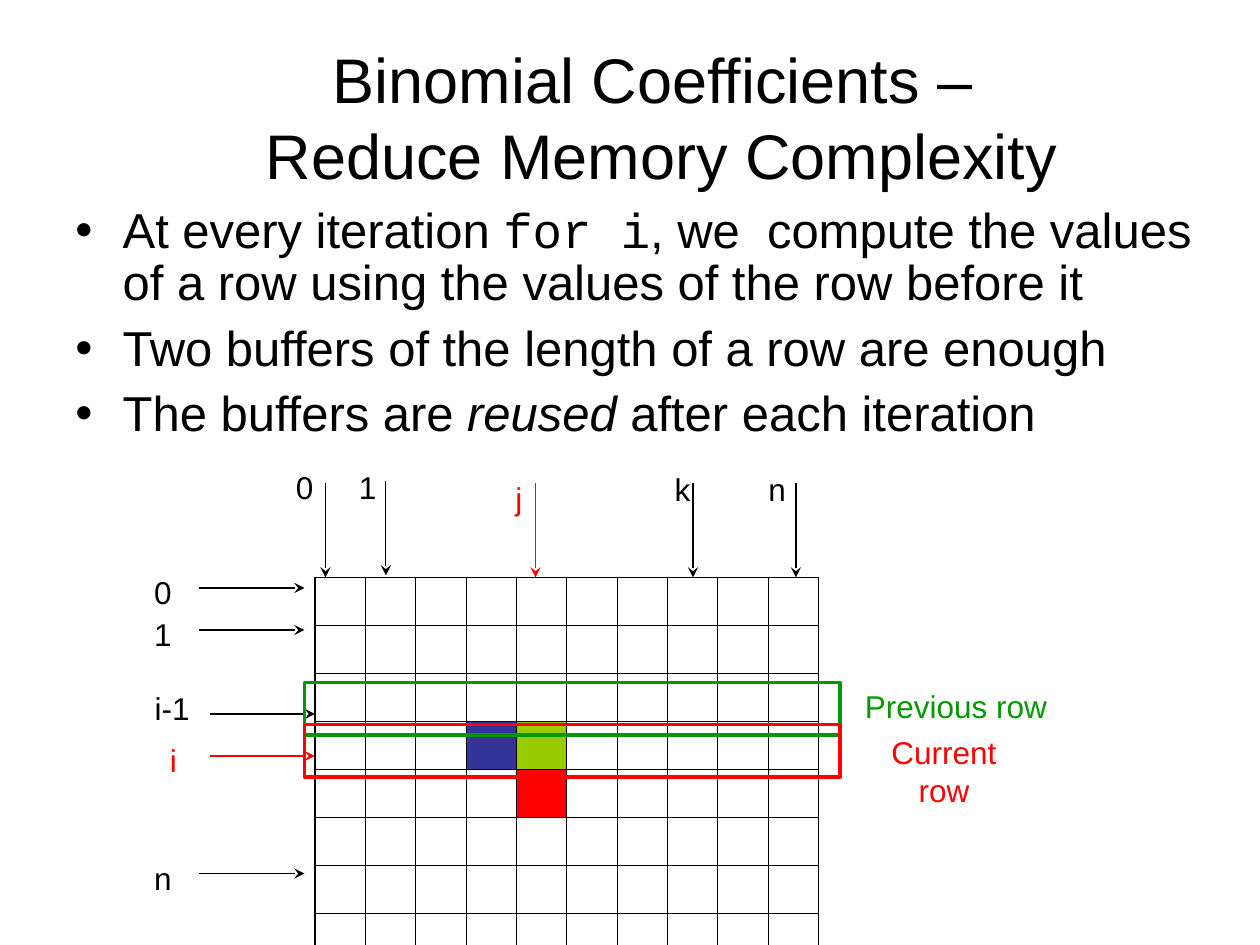
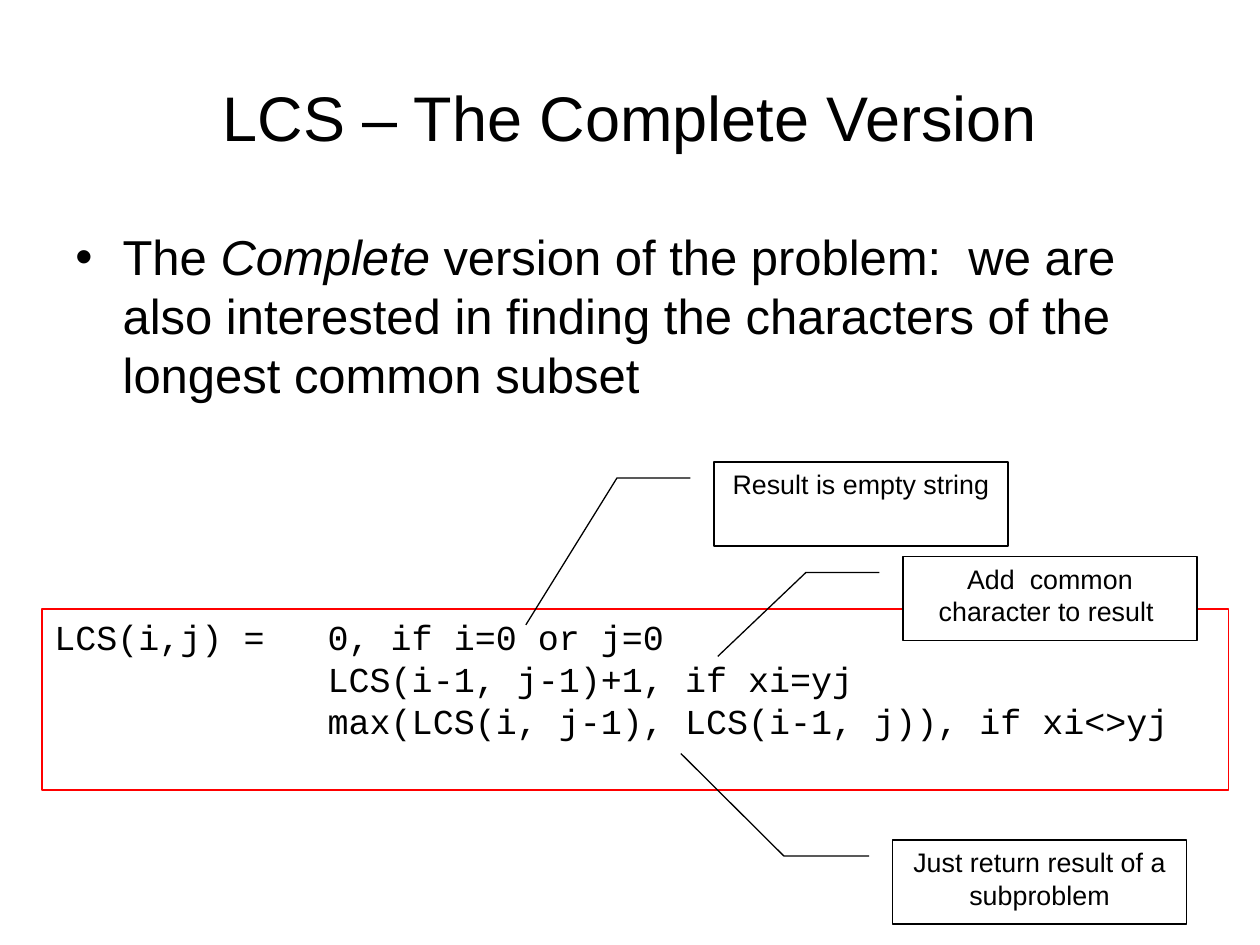
from dataclasses import dataclass
from typing import Any

from lxml import etree
from pptx import Presentation
from pptx.dml.color import RGBColor
from pptx.enum import shapes, text
from pptx.oxml import ns
from pptx.util import Inches, Length, Pt


@dataclass(frozen=True)
class Theme:
    """Colours, fonts and type sizes of the deck."""
    ink: str = "000000"
    paper: str = "FFFFFF"
    red: str = "FF0000"
    green: str = "009900"
    lime: str = "99CC00"
    blue: str = "333399"
    sans: str = "Arial"
    mono: str = "Courier New"
    title: float = 36
    body: float = 28
    code: float = 20
    label: float = 18
    note: float = 15.3
    thin: float = 0.45
    line: float = 0.75
    edge: float = 1.08
    bold: float = 2


@dataclass(frozen=True)
class Box:
    """A place on the grid of 120 columns by 90 rows."""
    x: float
    y: float
    w: float
    h: float

    def place(self) -> tuple[Length, ...]:
        """Return left, top, width and height as lengths."""
        return tuple(unit(v) for v in (self.x, self.y, self.w, self.h))


@dataclass(frozen=True)
class Bit:
    """A stretch of text with its own face."""
    words: str
    slant: bool = False
    mono: bool = False


@dataclass(frozen=True)
class Tag:
    """A short label in one colour."""
    words: str
    x: float
    y: float
    w: float = 4
    hue: str = "000000"


@dataclass(frozen=True)
class Mark:
    """A label with the arrow that starts beside it."""
    tag: Tag
    x: float
    y: float
    down: bool = False


@dataclass(frozen=True)
class Note:
    """A callout with the bend and the end of its leader."""
    words: str
    x: float
    y: float
    bend: float
    end: tuple[float, float]


T = Theme()
COLS, ROWS = 120, 90
TITLE = Box(6, 3.6, 108, 15)

GRID = Box(30, 55, 48, 36.6)
SIZE = (8, 10)
FILLS = {(3, 3): T.blue, (3, 4): T.lime, (4, 4): T.red}
MARKS = [
    Mark(Tag("0", 13.5, 54), 19, 56),
    Mark(Tag("1", 13.5, 58), 19, 60),
    Mark(Tag("i-1", 13.5, 65, 5.8), 20, 68),
    Mark(Tag("i", 15, 70, 3, T.red), 20, 72),
    Mark(Tag("n", 13.5, 81.2), 19, 83.2),
    Mark(Tag("0", 27, 44), 31, 46, True),
    Mark(Tag("1", 33, 44), 36.75, 45.8, True),
    Mark(Tag("j", 47.9, 45, 3, T.red), 51, 46, True),
    Mark(Tag("k", 63, 44.2), 66, 46, True),
    Mark(Tag("n", 72, 44.2), 75.8, 46, True),
]
BANDS = [
    (65, Tag("Previous row", 81.2, 64.8, 19.7, T.green)),
    (69, Tag("Current row", 80.9, 69.2, 18, T.red)),
]
POINTS = [
    [Bit("At every iteration "), Bit("for i", mono=True),
     Bit(", we  compute the values of a row using the values "
         "of the row before it")],
    [Bit("Two buffers of the length of a row are enough")],
    [Bit("The buffers are "), Bit("reused", slant=True),
     Bit(" after each iteration")],
]
GOAL = [[
    Bit("The "), Bit("Complete", slant=True),
    Bit(" version of the problem:  we are also interested in finding "
        "the characters of the longest common subset"),
]]
CODE = """LCS(i,j) =   0, if i=0 or j=0
             LCS(i-1, j-1)+1, if xi=yj
             max(LCS(i, j-1), LCS(i-1, j)), if xi<>yj"""
NOTES = [
    Note("Result is empty string", 68, 44, -0.33, (1.94, -0.64)),
    Note("Add  common character to result ", 86, 53, -0.33, (1.19, -0.63)),
    Note("Just return result of a subproblem", 85, 80, -0.37,
         (-1.03, -0.72)),
]


def unit(n: float) -> Length:
    """Turn grid steps into a length."""
    return Inches(n / 12)


def tint(hue: str) -> RGBColor:
    """Turn a hex string into a colour."""
    return RGBColor.from_string(hue)


def sub(node: Any, tag: str, **attrs: str) -> Any:
    """Append an XML child and return it."""
    return etree.SubElement(node, ns.qn(tag), attrs)


def style(para: Any, size: float, hue: str = T.ink,
          face: str = T.sans) -> None:
    """Set the font of a whole paragraph."""
    para.font.size, para.font.name = Pt(size), face
    para.font.color.rgb = tint(hue)


def write(shape: Any, words: str, size: float, hue: str = T.ink,
          face: str = T.sans, center: bool = True, wrap: bool = True) -> None:
    """Fill a shape with plain text."""
    frame = shape.text_frame
    frame.word_wrap = wrap
    frame.vertical_anchor = text.MSO_ANCHOR.TOP
    frame.text = words
    for para in frame.paragraphs:
        side = text.PP_ALIGN.CENTER if center else text.PP_ALIGN.LEFT
        para.alignment = side
        style(para, size, hue, face)


def head(slide: Any, words: str, box: Box = TITLE) -> None:
    """Write the slide title."""
    shape = slide.shapes.add_textbox(*box.place())
    write(shape, words, T.title)
    shape.text_frame.vertical_anchor = text.MSO_ANCHOR.MIDDLE


def points(slide: Any, box: Box, items: list[list[Bit]],
           pitch: float | None = None) -> None:
    """Write a bulleted list."""
    frame = slide.shapes.add_textbox(*box.place()).text_frame
    frame.word_wrap = True
    for at, bits in enumerate(items):
        para = frame.add_paragraph() if at else frame.paragraphs[0]
        para.line_spacing = pitch
        para.space_before = Pt(7 if at else 0)
        props = para._p.get_or_add_pPr()
        props.set("marL", str(unit(4.5)))
        props.set("indent", str(unit(-4.5)))
        sub(props, "a:buFont", typeface=T.sans)
        sub(props, "a:buChar", char="•")
        style(para, T.body)
        for bit in bits:
            run = para.add_run()
            run.text = bit.words
            if bit.slant:
                run.font.italic = True
            if bit.mono:
                run.font.name = T.mono


def label(slide: Any, tag: Tag) -> None:
    """Write a short label."""
    shape = slide.shapes.add_textbox(*Box(tag.x, tag.y, tag.w, 4.8).place())
    write(shape, tag.words, T.label, tag.hue, wrap=False)


def arrow(slide: Any, mark: Mark) -> None:
    """Draw the arrow of a mark."""
    end = (mark.x, mark.y + 9) if mark.down else (mark.x + 10, mark.y)
    line = slide.shapes.add_connector(
        shapes.MSO_CONNECTOR.STRAIGHT,
        *(unit(v) for v in (mark.x, mark.y, *end)))
    line.line.color.rgb = tint(mark.tag.hue)
    line.line.width = Pt(T.line)
    sub(line.line._get_or_add_ln(), "a:tailEnd", type="stealth")
    sub(line._element.spPr, "a:effectLst")


def frame(slide: Any, box: Box, hue: str, width: float, fill: str = "",
          kind: Any = shapes.MSO_SHAPE.RECTANGLE) -> Any:
    """Draw an outlined shape."""
    shape = slide.shapes.add_shape(kind, *box.place())
    shape.shadow.inherit = False
    if fill:
        shape.fill.solid()
        shape.fill.fore_color.rgb = tint(fill)
    else:
        shape.fill.background()
    shape.line.color.rgb = tint(hue)
    shape.line.width = Pt(width)
    return shape


def rule(cell: Any, sides: dict[str, bool]) -> None:
    """Draw cell borders, heavier on the outer sides."""
    props = cell._tc.get_or_add_tcPr()
    for at, (side, outer) in enumerate(sides.items()):
        width = Pt(T.edge if outer else T.thin)
        line = sub(props, f"a:ln{side}", w=str(width))
        sub(sub(line, "a:solidFill"), "a:srgbClr", val=T.ink)
        props.insert(at, line)


def grid(slide: Any) -> None:
    """Draw the table of coefficients."""
    rows, cols = SIZE
    table = slide.shapes.add_table(rows, cols, *GRID.place()).table
    table.first_row = table.horz_banding = False
    for col in table.columns:
        col.width = unit(GRID.w / cols)
    for r, row in enumerate(table.rows):
        row.height = unit(GRID.h / rows)
        for c, cell in enumerate(row.cells):
            cell.margin_top = cell.margin_bottom = 0
            if (r, c) in FILLS:
                cell.fill.solid()
                cell.fill.fore_color.rgb = tint(FILLS[r, c])
            else:
                cell.fill.background()
            rule(cell, {"L": c == 0, "R": c == cols - 1,
                        "T": r == 0, "B": r == rows - 1})


def memory(slide: Any) -> None:
    """Build the slide on memory use."""
    head(slide, "Binomial Coefficients – \vReduce Memory Complexity",
         Box(TITLE.x, TITLE.y, 114, TITLE.h))
    points(slide, Box(6, 19, 110, 24), POINTS, 0.9)
    grid(slide)
    for mark in MARKS:
        arrow(slide, mark)
        label(slide, mark.tag)
    for top, tag in BANDS:
        frame(slide, Box(29, top, 51, 5), tag.hue, T.bold)
        label(slide, tag)


def version(slide: Any) -> None:
    """Build the slide on the complete version."""
    head(slide, "LCS – The Complete Version")
    points(slide, Box(6, 21, 108, 22), GOAL)
    shape = frame(slide, Box(4, 58, 113, 17.25), T.red, T.line)
    write(shape, CODE, T.code, face=T.mono, center=False)
    for note in NOTES:
        shape = frame(slide, Box(note.x, note.y, 28, 8), T.ink, T.line,
                      T.paper, shapes.MSO_SHAPE.LINE_CALLOUT_2)
        turns = (0.19, -0.08, 0.19, note.bend, *note.end)
        for at, turn in enumerate(turns):
            shape.adjustments[at] = turn
        write(shape, note.words, T.note)


def main() -> None:
    """Build and save the deck."""
    deck = Presentation()
    deck.slide_width, deck.slide_height = unit(COLS), unit(ROWS)
    for build in (memory, version):
        build(deck.slides.add_slide(deck.slide_layouts[6]))
    deck.save("out.pptx")


if __name__ == "__main__":
    main()
